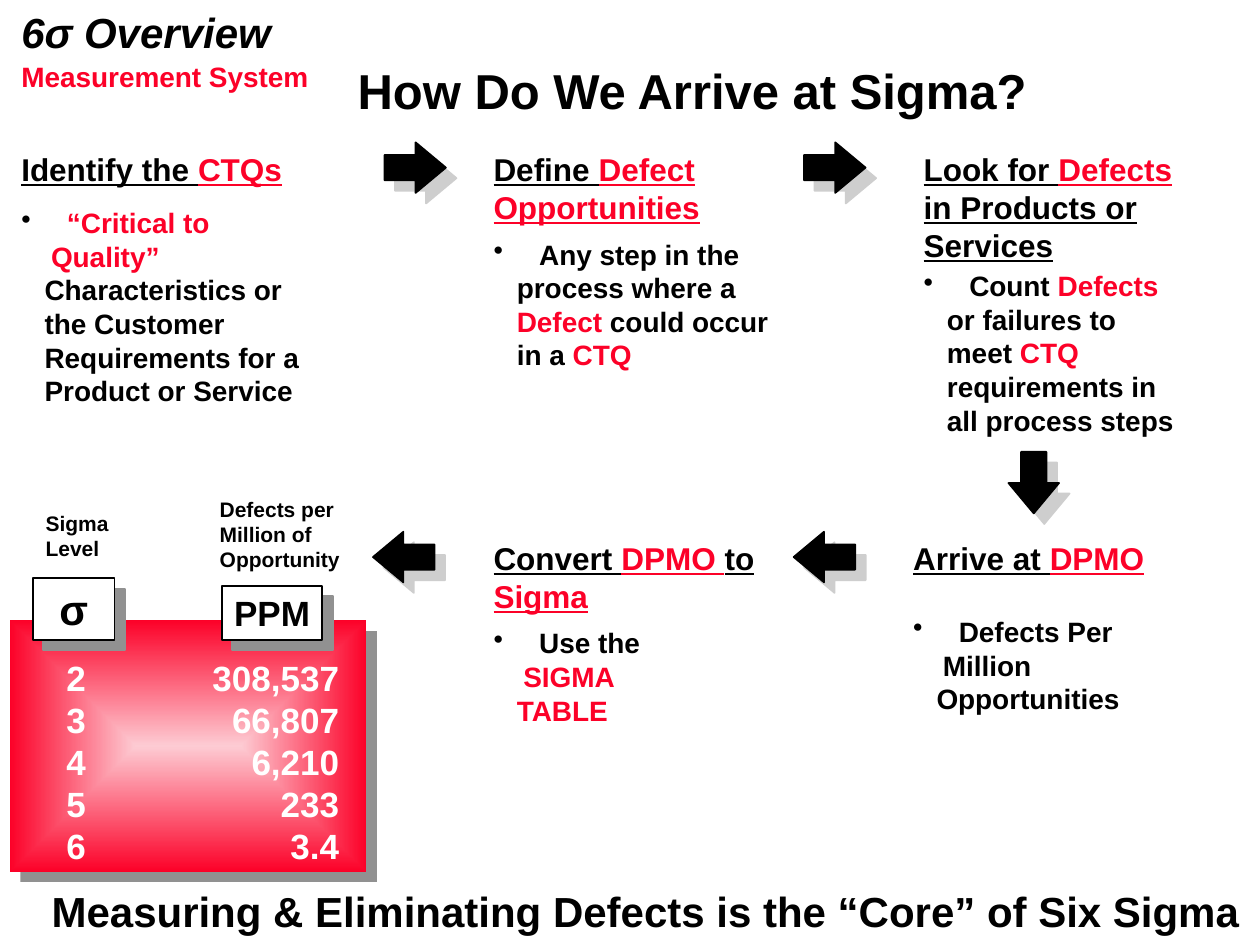
from lxml import etree
from pptx import Presentation
from pptx.dml.color import RGBColor
from pptx.enum.shapes import MSO_SHAPE
from pptx.enum.text import MSO_ANCHOR, MSO_AUTO_SIZE, PP_ALIGN
from pptx.oxml import parse_xml
from pptx.oxml.ns import nsdecls, qn
from pptx.util import Cm, Pt

LEFT, CENTER, RIGHT = PP_ALIGN.LEFT, PP_ALIGN.CENTER, PP_ALIGN.RIGHT
TOP, MIDDLE = MSO_ANCHOR.TOP, MSO_ANCHOR.MIDDLE
RECTANGLE = MSO_SHAPE.RECTANGLE
RIGHT_ARROW = MSO_SHAPE.RIGHT_ARROW
LEFT_ARROW = MSO_SHAPE.LEFT_ARROW
DOWN_ARROW = MSO_SHAPE.DOWN_ARROW

FONT = "Arial"
COLORS = {
    "black": "000000",
    "white": "FFFFFF",
    "red": "FC0128",
    "pink": "FDCBD3",
    "arrow_shadow": "CECECE",
    "panel_shadow": "919191",
}
BULLET_INDENT, WRAP_INDENT, LINE_INDENT = 0.92, 0.6, 0.47

STEPS = [
    (0.18, 2.9, ["Identify the *CTQs*"], 1.12, [
        (BULLET_INDENT, "*“Critical to*"), (WRAP_INDENT, "*Quality”*"),
        (LINE_INDENT, "Characteristics or"), (LINE_INDENT, "the Customer"),
        (LINE_INDENT, "Requirements for a"), (LINE_INDENT, "Product or Service")]),
    (9.7, 2.9, ["Define *Defect*", "*Opportunities*"], 1.75, [
        (BULLET_INDENT, "Any step in the"), (LINE_INDENT, "process where a"),
        (LINE_INDENT, "*Defect* could occur"), (LINE_INDENT, "in a *CTQ*")]),
    (18.37, 2.9, ["Look for *Defects*", "in Products or", "Services"], 2.39, [
        (BULLET_INDENT, "Count *Defects*"), (LINE_INDENT, "or failures to"),
        (LINE_INDENT, "meet *CTQ*"), (LINE_INDENT, "requirements in"),
        (LINE_INDENT, "all process steps")]),
    (18.16, 10.74, ["Arrive at *DPMO*"], 1.52, [
        (BULLET_INDENT, "Defects Per"), (WRAP_INDENT, "Million"),
        (LINE_INDENT, "Opportunities")]),
    (9.7, 10.74, ["Convert *DPMO *to", "*Sigma*"], 1.75, [
        (BULLET_INDENT, "Use the"), (WRAP_INDENT, "*SIGMA*"),
        (LINE_INDENT, "*TABLE*")]),
]
ARROWS = [
    (RIGHT_ARROW, 7.75, 2.87, 1.24, 1.02),
    (RIGHT_ARROW, 16.21, 2.87, 1.24, 1.02),
    (DOWN_ARROW, 20.33, 9.11, 1.02, 1.24),
    (LEFT_ARROW, 16.0, 10.72, 1.24, 1.02),
    (LEFT_ARROW, 7.52, 10.72, 1.24, 1.02),
]
SIGMA_LEVELS = [("2", "308,537"), ("3", "66,807"), ("4", "6,210"),
                ("5", "233"), ("6", "3.4")]


def rgb(name):
    return RGBColor.from_string(COLORS[name])


def add_bullet(paragraph):
    properties = paragraph._p.get_or_add_pPr()
    color = etree.SubElement(properties, qn("a:buClr"))
    etree.SubElement(color, qn("a:srgbClr"), val=COLORS["black"])
    etree.SubElement(properties, qn("a:buChar"), char="•")


def write_lines(shape, lines, size, color="black", align=LEFT, anchor=TOP,
                underline=None, italic=None, indents=None):
    frame = shape.text_frame
    frame.word_wrap = False
    frame.auto_size = MSO_AUTO_SIZE.NONE
    frame.vertical_anchor = anchor
    frame.margin_left = frame.margin_right = Cm(0.25)
    frame.margin_top = frame.margin_bottom = Cm(0.13)
    for index, line in enumerate(lines):
        paragraph = frame.paragraphs[0] if index == 0 else frame.add_paragraph()
        paragraph.alignment = align
        if indents:
            properties = paragraph._p.get_or_add_pPr()
            properties.set("marL", str(Cm(indents[index])))
            properties.set("indent", str(-Cm(indents[0]) if index == 0 else 0))
            if index == 0:
                add_bullet(paragraph)
        font = paragraph.font
        font.name, font.size, font.bold = FONT, Pt(size), True
        font.italic, font.underline = italic, underline
        for part, text in enumerate(line.split("*")):
            if text:
                run = paragraph.add_run()
                run.text = text
                run.font.color.rgb = rgb("red" if part % 2 else color)


def add_text(slide, left, top, width, height, lines, size, **style):
    box = slide.shapes.add_textbox(Cm(left), Cm(top), Cm(width), Cm(height))
    write_lines(box, lines, size, **style)


def add_shadowed_shape(slide, kind, left, top, width, height, fill, shadow):
    shape = slide.shapes.add_shape(kind, Cm(left), Cm(top), Cm(width), Cm(height))
    shape.fill.solid()
    shape.fill.fore_color.rgb = rgb(fill)
    shape.line.color.rgb = rgb("black")
    shape.line.width = Pt(1)
    shape.shadow.inherit = False
    effects = shape._element.spPr.find(qn("a:effectLst"))
    outer = etree.SubElement(effects, qn("a:outerShdw"), dist=str(Pt(8.5)),
                             dir="2700000", algn="ctr", rotWithShape="0")
    etree.SubElement(outer, qn("a:srgbClr"), val=COLORS[shadow])
    return shape


def add_arrow(slide, kind, left, top, width, height):
    arrow = add_shadowed_shape(slide, kind, left, top, width, height,
                               "black", "arrow_shadow")
    arrow.adjustments[0] = 0.5
    arrow.adjustments[1] = 0.6


def add_step(slide, left, top, heading, bullet_offset, bullet_lines):
    indents, lines = zip(*bullet_lines)
    add_text(slide, left, top, 6.2, 0.25 + 0.77 * len(heading), heading, 18,
             underline=True)
    add_text(slide, left, top + bullet_offset, 6.2, 0.25 + 0.68 * len(lines),
             lines, 16, indents=indents)


def add_sigma_table(slide, left, top, width, height):
    panel = add_shadowed_shape(slide, RECTANGLE, left, top, width, height,
                               "red", "panel_shadow")
    panel.line.fill.background()
    properties = panel._element.spPr
    gradient = parse_xml(
        f'<a:gradFill {nsdecls("a")} rotWithShape="1"><a:gsLst>'
        f'<a:gs pos="0"><a:srgbClr val="{COLORS["pink"]}"/></a:gs>'
        f'<a:gs pos="100000"><a:srgbClr val="{COLORS["red"]}"/></a:gs>'
        '</a:gsLst><a:path path="rect">'
        '<a:fillToRect l="50000" t="50000" r="50000" b="50000"/>'
        '</a:path></a:gradFill>')
    properties.replace(properties.find(qn("a:solidFill")), gradient)

    levels, rates = zip(*SIGMA_LEVELS)
    add_text(slide, left + 0.89, top + 0.61, 0.89, 4.47, levels, 20, color="white")
    add_text(slide, left + 3.84, top + 0.61, 3.05, 4.47, rates, 20,
             color="white", align=RIGHT)

    for text, size, x, y, box_width, box_height in [
            ("σ", 24, 0.46, -0.84, 1.65, 1.24),
            ("PPM", 20, 4.27, -0.69, 2.03, 1.09)]:
        header = add_shadowed_shape(slide, RECTANGLE, left + x, top + y,
                                    box_width, box_height, "white", "panel_shadow")
        write_lines(header, [text], size, align=CENTER, anchor=MIDDLE)

    add_text(slide, left + 0.47, top - 2.34, 2.1, 1.27, ["Sigma", "Level"], 12)
    add_text(slide, left + 3.98, top - 2.62, 2.9, 1.78,
             ["Defects per", "Million of", "Opportunity"], 12)


def add_headings(slide):
    title = slide.shapes.title
    title.left, title.top = Cm(6.96), Cm(1.09)
    title.width, title.height = Cm(14.05), Cm(1.42)
    write_lines(title, ["How Do We Arrive at Sigma?"], 28)
    add_text(slide, 0.18, 0, 6.5, 1.27, ["6σ Overview"], 24, italic=True)
    add_text(slide, 0.18, 1.07, 6.3, 0.91, ["Measurement System"], 16, color="red")
    add_text(slide, 0.79, 17.73, 24.46, 1.27,
             ["Measuring & Eliminating Defects is the “Core” of Six Sigma"], 24)


def main():
    presentation = Presentation()
    presentation.slide_width, presentation.slide_height = Cm(25.4), Cm(19.05)
    slide = presentation.slides.add_slide(presentation.slide_layouts[5])
    add_headings(slide)
    for step in STEPS:
        add_step(slide, *step)
    for arrow in ARROWS:
        add_arrow(slide, *arrow)
    add_sigma_table(slide, 0.2, 12.5, 7.19, 5.08)
    presentation.save("out.pptx")


if __name__ == "__main__":
    main()
